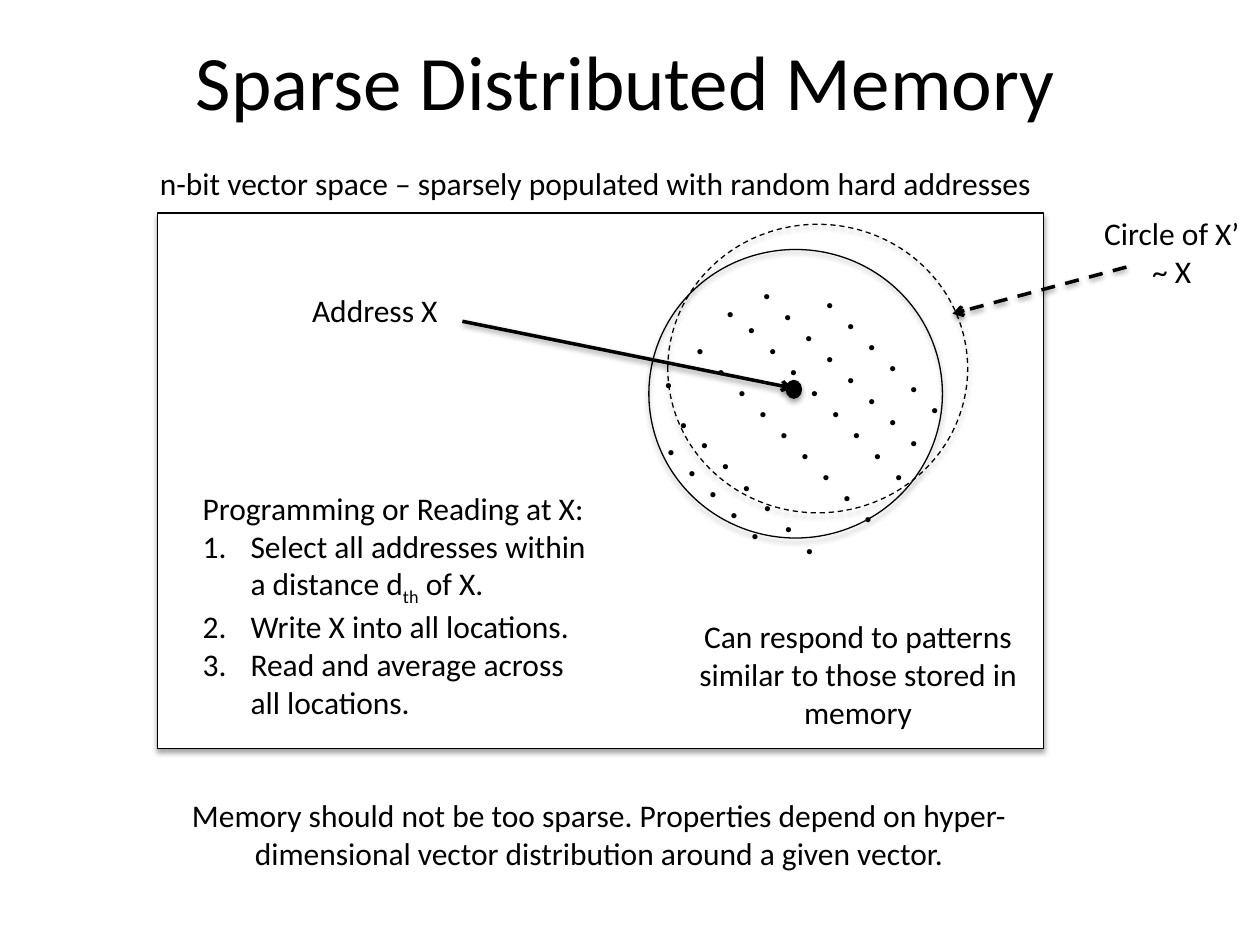
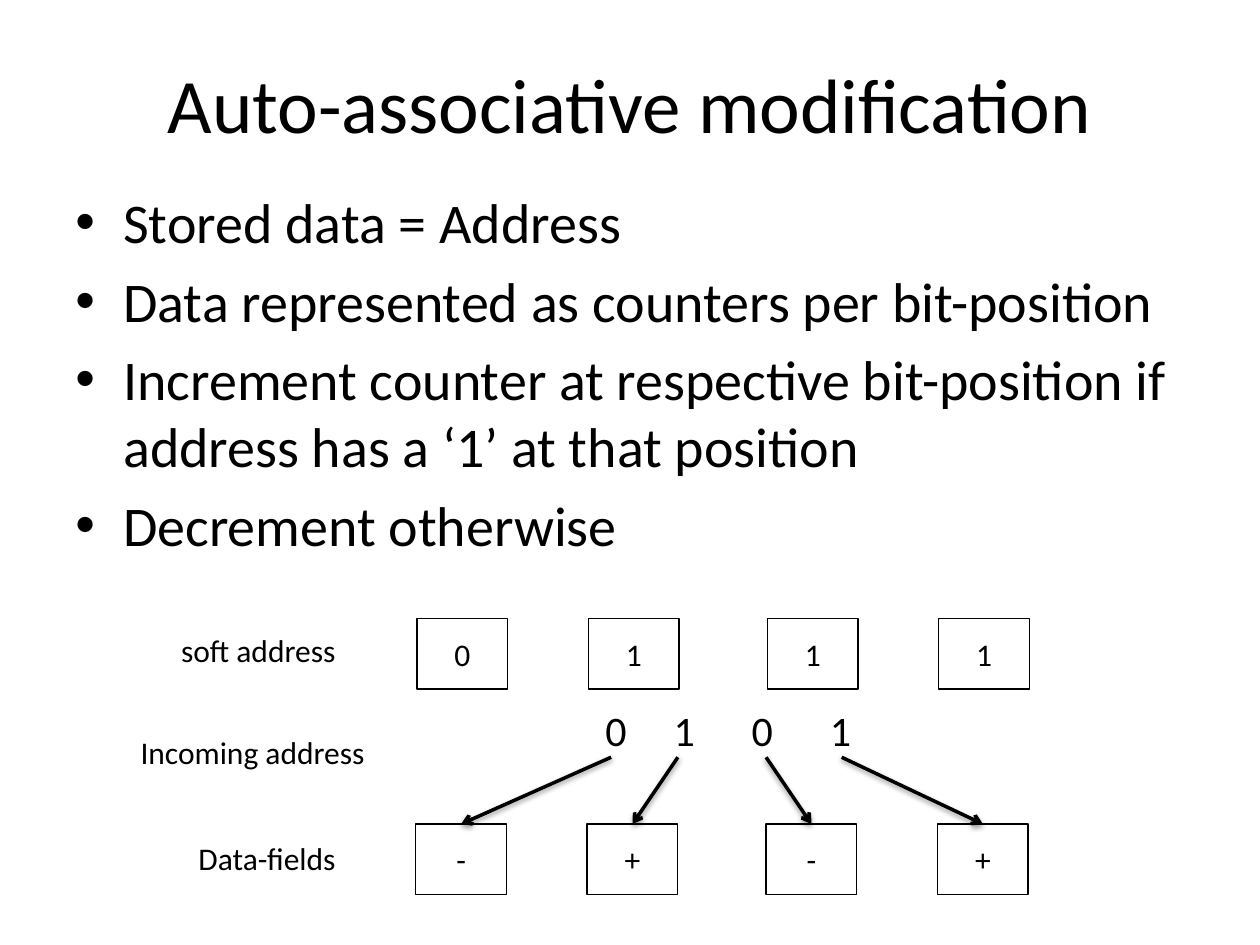
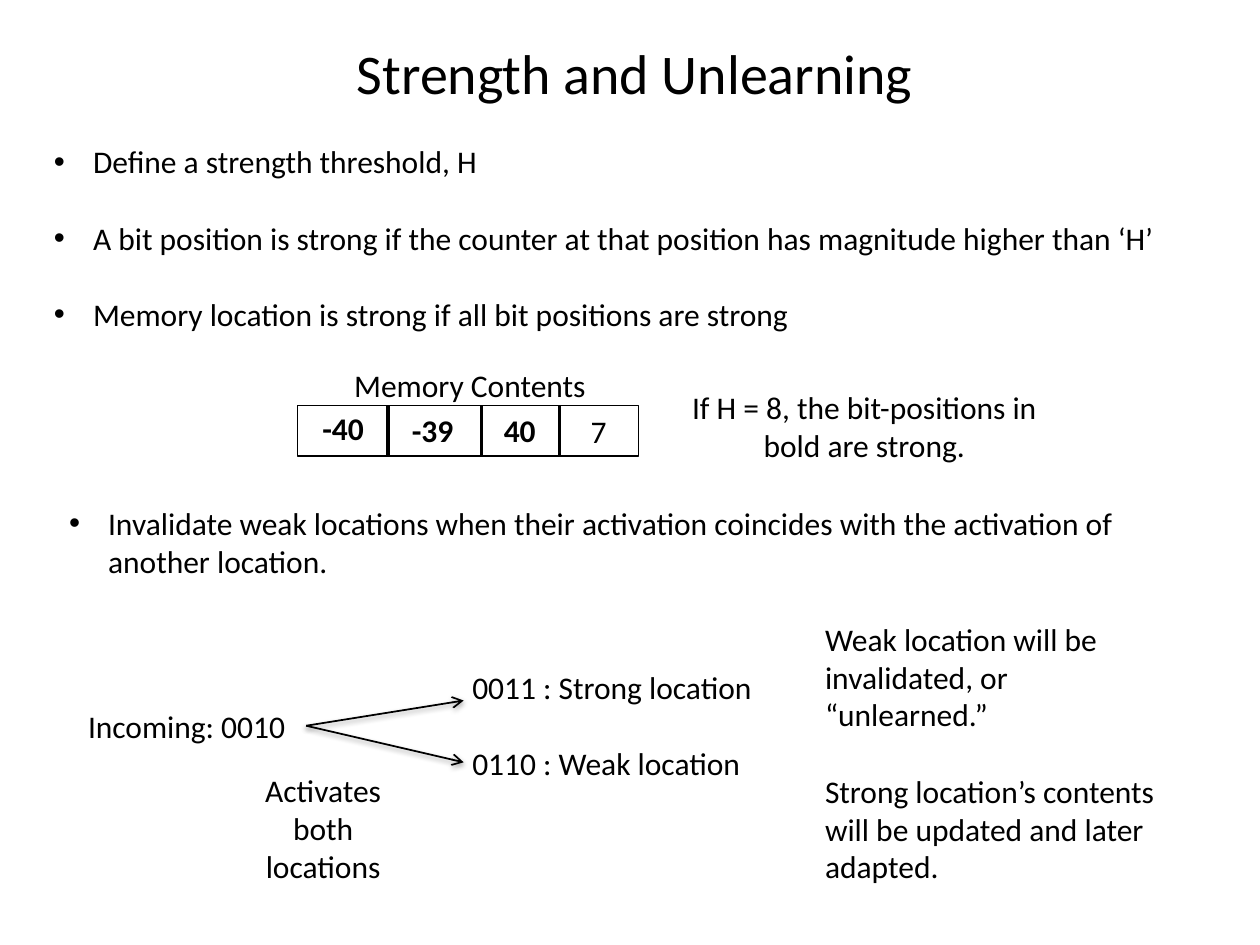
"""Build three slides on sparse distributed memory."""
import pptx
import pptx.util
import pptx.dml.color
import pptx.enum.dml
import pptx.enum.shapes
import pptx.enum.text
import pptx.oxml.ns
from lxml import etree

Inches = pptx.util.Inches
Pt = pptx.util.Pt
SHAPES = pptx.enum.shapes.MSO_SHAPE
ALIGN = pptx.enum.text.PP_ALIGN
ANCHOR = pptx.enum.text.MSO_ANCHOR
DASH = pptx.enum.dml.MSO_LINE.DASH
qn = pptx.oxml.ns.qn


def color(value):
    return pptx.dml.color.RGBColor.from_string(value)


def add_node(parent, tag, **attributes):
    return etree.SubElement(parent, qn(tag), {key: str(value) for key, value in attributes.items()})


class Painter:
    INK = "000000"
    PAPER = "FFFFFF"
    FONT = "Calibri"
    BODY = 18
    BLANK_LINE = 22

    def __init__(self):
        self.deck = pptx.Presentation()
        self.deck.slide_width, self.deck.slide_height = Inches(10), Inches(7.5)
        self.page = None

    def new_page(self):
        self.page = self.deck.slides.add_slide(self.deck.slide_layouts[6])

    def set_lines(self, frame, lines, size, bold, align, gap=0, gap_first=False):
        frame.word_wrap = True
        for index, line in enumerate(lines):
            para = frame.paragraphs[0] if index == 0 else frame.add_paragraph()
            para.alignment = align
            if gap and (index or gap_first):
                para.space_before = Pt(gap)
            for place, part in enumerate(line if isinstance(line, tuple) else (line,)):
                span = para.add_run()
                span.text = part
                span.font.name, span.font.size, span.font.bold = self.FONT, Pt(size), bold
                span.font.color.rgb = color(self.INK)
                is_subscript = place % 2 == 1
                if is_subscript:
                    span.font._element.set("baseline", "-25000")

    def text(self, left, top, width, height, *lines, size=BODY, bold=False,
             center=False, gap=0, gap_first=False):
        box = self.page.shapes.add_textbox(Inches(left), Inches(top), Inches(width), Inches(height))
        align = ALIGN.CENTER if center else ALIGN.LEFT
        self.set_lines(box.text_frame, lines, size, bold, align, gap, gap_first)
        return box

    def title(self, left, top, width, height, text, size=44):
        box = self.text(left, top, width, height, text, size=size, center=True)
        box.text_frame.vertical_anchor = ANCHOR.MIDDLE

    def bullets(self, left, top, width, height, *lines, indent=0.31, **style):
        box = self.text(left, top, width, height, *lines, **style)
        self.mark(box.text_frame.paragraphs, indent)

    def mark(self, paragraphs, indent, numbered=False):
        for para in paragraphs:
            properties = para._p.get_or_add_pPr()
            properties.set("marL", str(Inches(indent)))
            properties.set("indent", str(-Inches(indent)))
            if numbered:
                add_node(properties, "a:buFont", typeface="+mj-lt")
                add_node(properties, "a:buAutoNum", type="arabicPeriod")
            else:
                add_node(properties, "a:buFont", typeface="Arial")
                add_node(properties, "a:buChar", char="•")

    def shadow(self, effects, opacity, distance):
        outer = add_node(effects, "a:outerShdw", blurRad=Pt(3.1), dist=Pt(distance),
                         dir=5400000, rotWithShape=0)
        tint = add_node(outer, "a:srgbClr", val=self.INK)
        add_node(tint, "a:alpha", val=opacity * 1000)

    def shape(self, kind, left, top, width, height, fill=None, text=None,
              dashed=False, shadow=False):
        item = self.page.shapes.add_shape(
            kind, Inches(left), Inches(top), Inches(width), Inches(height))
        if fill:
            item.fill.solid()
            item.fill.fore_color.rgb = color(fill)
        else:
            item.fill.background()
        item.line.color.rgb = color(self.INK)
        item.line.width = Pt(0.75)
        if dashed:
            item.line.dash_style = DASH
        item.shadow.inherit = False
        if shadow:
            self.shadow(item._element.spPr.find(qn("a:effectLst")), 35, 1.8)
        if text:
            item.text_frame.vertical_anchor = ANCHOR.MIDDLE
            self.set_lines(item.text_frame, [text], self.BODY, False, ALIGN.CENTER)

    def line(self, start, end, width=2, arrow=True, dashed=False):
        item = self.page.shapes.add_connector(
            pptx.enum.shapes.MSO_CONNECTOR.STRAIGHT, *map(Inches, start + end))
        item.line.color.rgb = color(self.INK)
        item.line.width = Pt(width)
        if dashed:
            item.line.dash_style = DASH
        properties = item._element.spPr
        effects = add_node(properties, "a:effectLst")
        if arrow:
            add_node(properties.find(qn("a:ln")), "a:tailEnd", type="arrow")
            self.shadow(effects, 38, 1.6)


def memory_space(painter):
    painter.new_page()
    painter.title(0.29, 0.01, 9.35, 1.25, "Sparse Distributed Memory")
    painter.shape(SHAPES.RECTANGLE, 1.25, 1.69, 7.03, 4.25, fill=painter.PAPER, shadow=True)
    painter.text(1.17, 1.25, 7.22, 0.4,
                 "n-bit vector space – sparsely populated with random hard addresses")
    painter.shape(SHAPES.OVAL, 5.15, 1.98, 2.33, 2.29, shadow=True)
    diagonals = [(5.66, 2.19, 1), (5.17, 2.76, 1), (5.95, 2.05, 8), (5.29, 3.07, 7),
                 (6.45, 2.12, 6), (5.83, 2.32, 8), (5.42, 2.49, 9), (5.19, 3.29, 5)]
    for left, top, count in diagonals:
        for step in range(count):
            painter.text(left + step / 6, top + step / 6, 0.25, 0.44, ".", size=20, bold=True)
    painter.text(2.35, 2.26, 1.25, 0.4, "Address X", center=True)
    steps = painter.text(1.51, 3.83, 3.35, 1.92,
                         "Programming or Reading at X:",
                         ("Select all addresses within a distance d", "th", " of X."),
                         "Write X into all locations.",
                         "Read and average across all locations.")
    painter.mark(steps.text_frame.paragraphs[1:], 0.38, numbered=True)
    painter.shape(SHAPES.OVAL, 6.24, 3.02, 0.12, 0.14, fill=painter.INK, shadow=True)
    painter.line((3.67, 2.55), (6.29, 3.08))
    painter.text(1.01, 6.27, 7.49, 0.71,
                 "Memory should not be too sparse. Properties depend on "
                 "hyper-dimensional vector distribution around a given vector.", center=True)
    painter.text(5.44, 4.85, 2.74, 1.01,
                 "Can respond to patterns similar to those stored in memory", center=True)
    painter.shape(SHAPES.OVAL, 5.3, 1.78, 2.38, 2.29, dashed=True, shadow=True)
    painter.line((8.94, 2.12), (7.56, 2.49), dashed=True)
    painter.text(8.62, 1.65, 1.36, 0.71, "Circle of X’ ~ X", center=True)


def counter_update(painter):
    painter.new_page()
    painter.title(0.5, 0.19, 9, 1.25, "Auto-associative modification")
    painter.bullets(0.5, 1.44, 9, 4.95,
                    "Stored data = Address",
                    "Data represented as counters per bit-position",
                    "Increment counter at respective bit-position if address has a ‘1’ "
                    "at that position",
                    "Decrement otherwise",
                    indent=0.38, size=32, gap=6.4, gap_first=True)
    cell_width, cell_height, field_top = 0.72, 0.56, 6.54
    columns = [(3.3, "0", "0", "-", 4.89, 4.85), (4.66, "1", "1", "+", 5.43, 5.38),
               (6.08, "1", "0", "-", 6.05, 6.08), (7.44, "1", "1", "+", 6.67, 6.68)]
    for left, soft, incoming, field, digit_center, arrow_start in columns:
        painter.shape(SHAPES.RECTANGLE, left + 0.01, 4.91, cell_width, cell_height, text=soft)
        painter.shape(SHAPES.RECTANGLE, left, field_top, cell_width, cell_height, text=field)
        painter.text(digit_center - 0.25, 5.54, 0.5, 0.5, incoming, size=24, center=True)
        painter.line((arrow_start, 6.01), (left + cell_width / 2, field_top))
    for left, top, width, label in [(1.18, 4.96, 1.74, "soft address"),
                                    (0.9, 5.77, 2.21, "Incoming address"),
                                    (1.4, 6.61, 1.44, "Data-fields")]:
        painter.text(left, top, width, 0.4, label, center=True)


def strength(painter):
    painter.new_page()
    painter.title(0.61, 0.25, 8.86, 0.64, "Strength and Unlearning", size=32)
    painter.bullets(0.33, 1.08, 9.41, 1.62,
                    "Define a strength threshold, H",
                    "A bit position is strong if the counter at that position has magnitude "
                    "higher than ‘H’",
                    "Memory location is strong if all bit positions are strong",
                    gap=painter.BLANK_LINE)
    painter.text(2.41, 2.86, 2.64, 0.4, "Memory Contents", center=True)
    for left, top, counter in [(2.46, 3.2, "-40"), (3.17, 3.21, "-39"),
                               (3.9, 3.21, "40"), (4.59, 3.22, "7")]:
        painter.text(left, top, 0.54, 0.4, counter, bold=abs(int(counter)) > 8)
    painter.shape(SHAPES.RECTANGLE, 2.36, 3.22, 2.71, 0.4)
    for divider in (3.08, 3.82, 4.44):
        painter.line((divider, 3.62), (divider, 3.22), arrow=False)
    painter.text(5.39, 3.03, 2.94, 0.71,
                 "If H = 8, the bit-positions in bold are strong.", center=True)
    painter.bullets(0.45, 3.95, 8.7, 0.71,
                    "Invalidate weak locations when their activation coincides with the "
                    "activation of another location.")
    painter.text(3.65, 5.25, 2.53, 1.01, "0011 : Strong location", "0110 : Weak location",
                 gap=painter.BLANK_LINE)
    painter.text(0.6, 5.56, 1.82, 0.4, "Incoming: 0010")
    for target in (5.56, 6.05):
        painter.line((2.43, 5.76), (3.68, target), width=1)
    painter.text(1.78, 6.07, 1.57, 1.01, "Activates both locations", center=True)
    painter.text(6.45, 4.87, 2.86, 2.22,
                 "Weak location will be invalidated, or “unlearned.”",
                 "Strong location’s contents will be updated and later adapted.",
                 gap=painter.BLANK_LINE)


painter = Painter()
memory_space(painter)
counter_update(painter)
strength(painter)
painter.deck.save("out.pptx")
